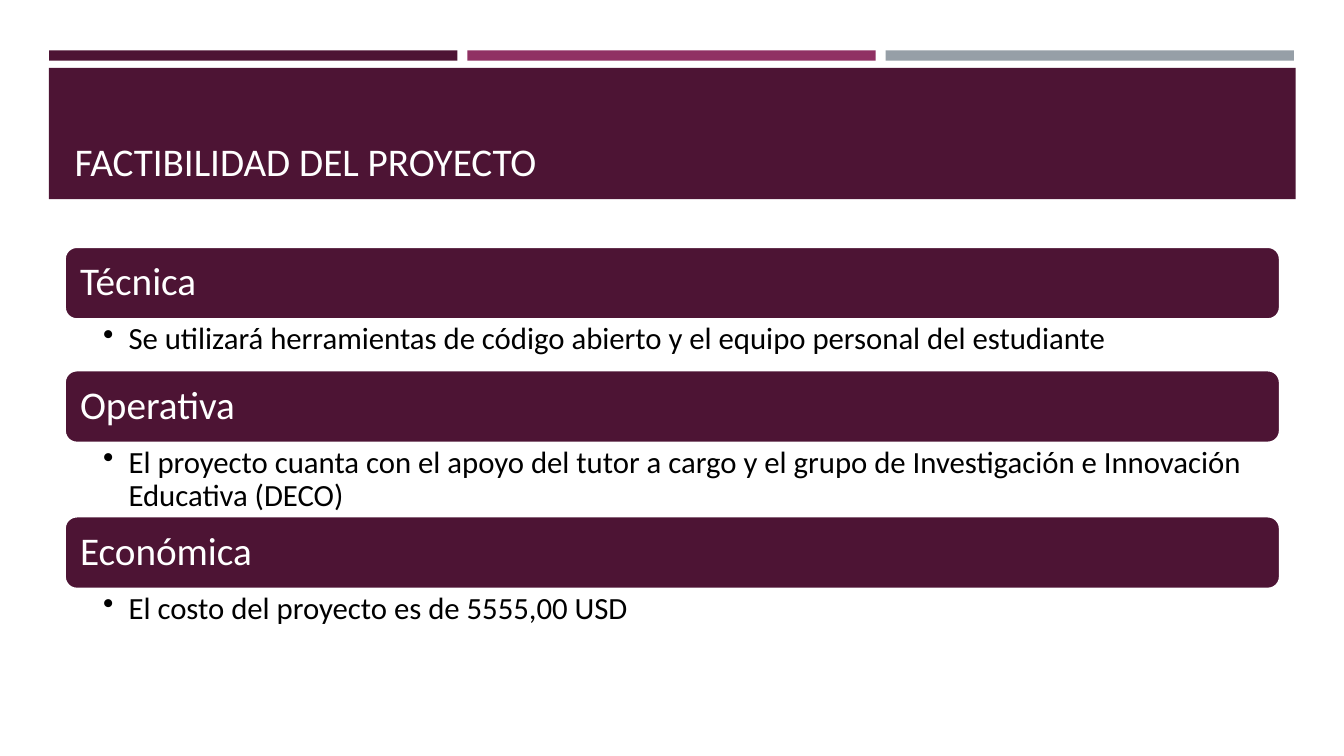
import pptx
import pptx.util
import pptx.dml.color
import pptx.enum.shapes
import pptx.enum.text
import lxml.etree

Cm = pptx.util.Cm
Pt = pptx.util.Pt
ANCHOR = pptx.enum.text.MSO_ANCHOR
SHAPE = pptx.enum.shapes.MSO_SHAPE
PLUM = "4D1434"
WHITE = "FFFFFF"


def paint(target, color):
    if hasattr(target, "solid"):
        target.solid()
        target.fore_color.rgb = pptx.dml.color.RGBColor.from_string(color)
    else:
        target.color.rgb = pptx.dml.color.RGBColor.from_string(color)


def write(shape, text, size, color, anchor, margins):
    frame = shape.text_frame
    frame.word_wrap = True
    frame.auto_size = pptx.enum.text.MSO_AUTO_SIZE.NONE
    frame.vertical_anchor = anchor
    frame.margin_left, frame.margin_top, frame.margin_right, frame.margin_bottom = [
        Cm(margin) for margin in margins
    ]
    paragraph = frame.paragraphs[0]
    paragraph.alignment = pptx.enum.text.PP_ALIGN.LEFT
    paragraph.line_spacing = 0.9
    run = paragraph.add_run()
    run.text = text
    run.font.name = "Calibri"
    run.font.size = Pt(size)
    paint(run.font, color)
    return paragraph


presentation = pptx.Presentation()
presentation.slide_width = Cm(33.87)
presentation.slide_height = Cm(19.05)
slide = presentation.slides.add_slide(presentation.slide_layouts[5])

blocks = [(1.24 + 10.54 * column, 1.27, 10.29, 0.26, color)
          for column, color in enumerate([PLUM, "903163", "969FA7"])]
blocks.append((1.23, 1.71, 31.42, 3.31, PLUM))
for left, top, width, height, color in blocks:
    block = slide.shapes.add_shape(SHAPE.RECTANGLE, Cm(left), Cm(top), Cm(width), Cm(height))
    block.shadow.inherit = False
    paint(block.fill, color)
    block.line.fill.background()

title = slide.shapes.title
title.element.getparent().append(title.element)
title.left, title.top, title.width, title.height = Cm(1.63), Cm(1.96), Cm(30.63), Cm(2.82)
write(title, "FACTIBILIDAD DEL PROYECTO", 28, WHITE, ANCHOR.BOTTOM, (0.25, 0.13, 0.25, 0.13))

sections = [
    ("Técnica", "Se utilizará herramientas de código abierto y el equipo personal del estudiante", 1.28),
    ("Operativa", "El proyecto cuanta con el apoyo del tutor a cargo y el grupo de "
     "Investigación e Innovación Educativa (DECO)", 1.85),
    ("Económica", "El costo del proyecto es de 5555,00 USD", 1.28),
]
heading_height = 1.83
top = 6.22
for name, detail, detail_height in sections:
    heading = slide.shapes.add_shape(
        SHAPE.ROUNDED_RECTANGLE, Cm(1.63), Cm(top), Cm(30.63), Cm(heading_height))
    heading.shadow.inherit = False
    paint(heading.fill, PLUM)
    paint(heading.line, WHITE)
    heading.line.width = Pt(1.75)
    write(heading, name, 28, WHITE, ANCHOR.MIDDLE, (0.3, 0.3, 0.3, 0.3))
    top += heading_height

    body = slide.shapes.add_textbox(Cm(1.63), Cm(top), Cm(30.63), Cm(detail_height))
    paragraph = write(body, detail, 22, "000000", ANCHOR.TOP, (0.97, 0.1, 0.56, 0.1))
    properties = paragraph._p.get_or_add_pPr()
    properties.set("marL", str(Cm(0.64)))
    properties.set("indent", str(-Cm(0.64)))
    bullet = lxml.etree.SubElement(properties, pptx.oxml.ns.qn("a:buChar"))
    bullet.set("char", "•")
    top += detail_height

presentation.save("out.pptx")
